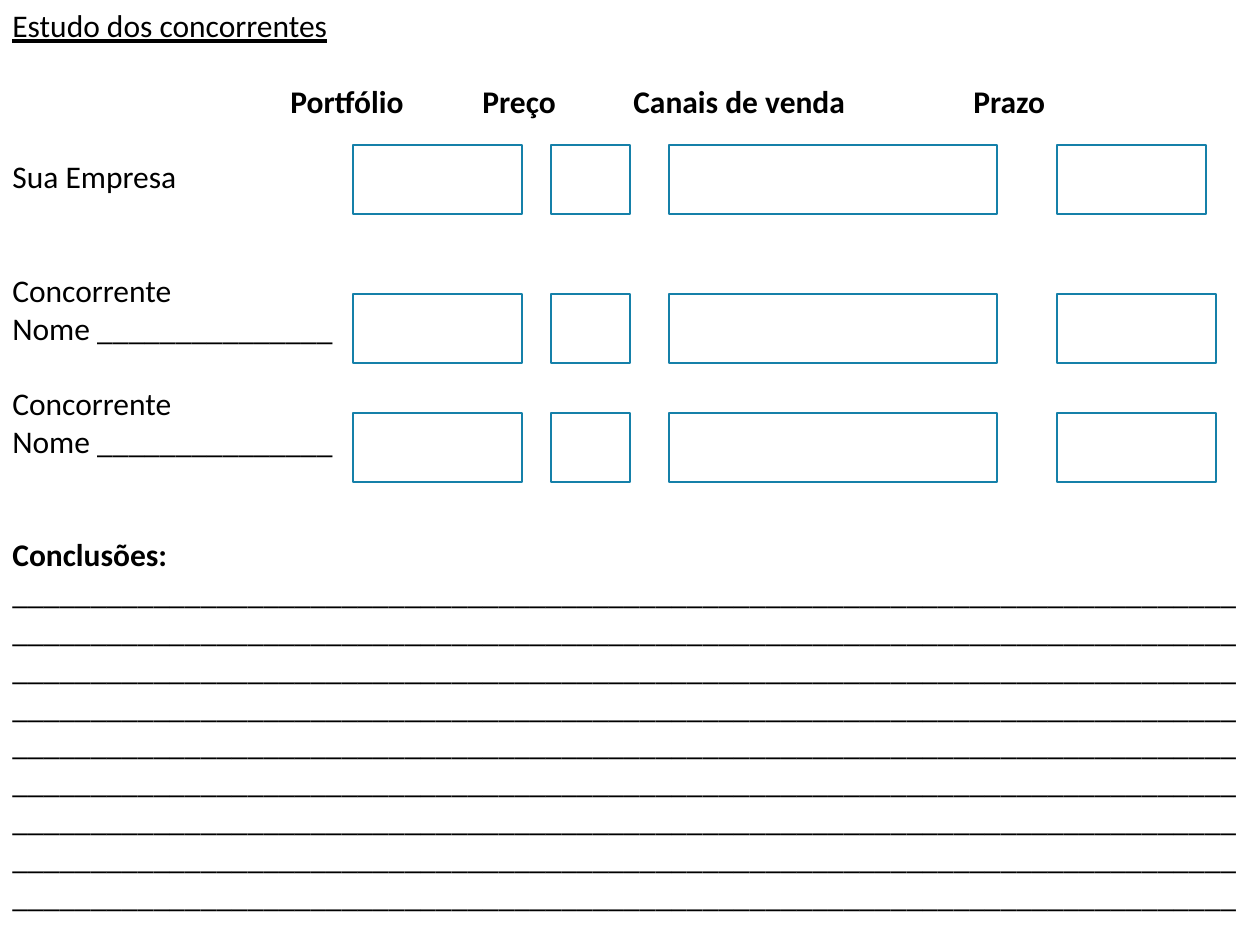
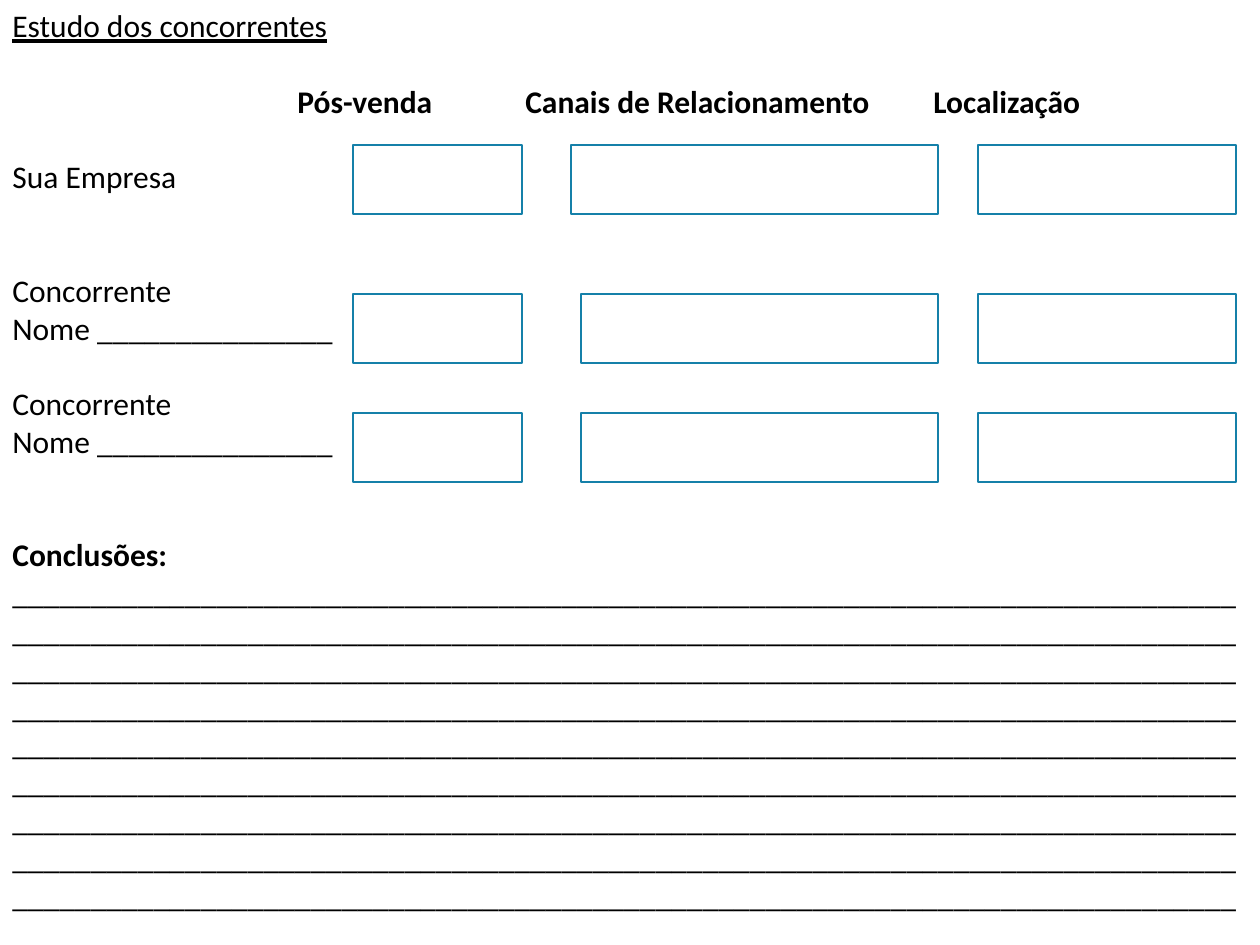
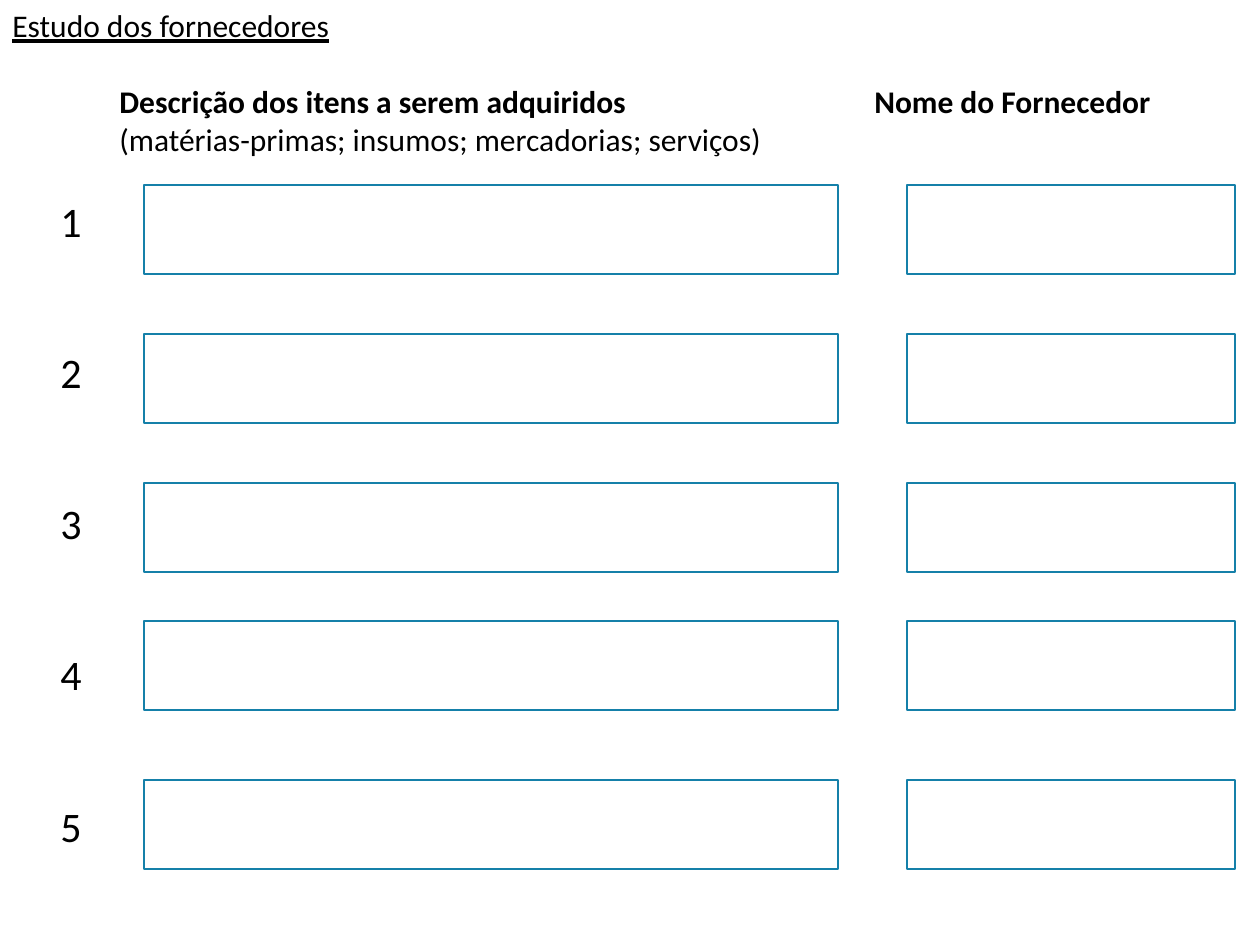
from dataclasses import dataclass

from lxml import etree
from pptx import Presentation
from pptx.dml.color import RGBColor
from pptx.enum.shapes import MSO_SHAPE
from pptx.oxml.ns import qn
from pptx.util import Emu, Pt

RECTANGLE = MSO_SHAPE.RECTANGLE

PX = 914400 // 126
SLIDE_WIDTH, SLIDE_HEIGHT = 1260, 945
TEXT_HEIGHT = 929
FONT = "Calibri"
COLORS = {"text": "000000", "box_line": "1580A9"}
BODY_SIZE, NUMBER_SIZE = 18, 24
LINE_HEIGHT = 1.2
WRITING_LINES, UNDERSCORES_PER_LINE = 9, 78


@dataclass
class Line:
    """A paragraph; gap counts the empty lines above it."""
    text: str
    gap: int = 0
    size: int = BODY_SIZE
    gap_size: int = BODY_SIZE
    bold: bool = False
    underline: bool = False
    tabs: tuple = ()


COMPETITOR_ROWS = (145, 294, 413)
COMPETITOR_BOX_HEIGHT = 69

# Headings are (text, left); each row of boxes holds (left, width) pairs.
COMPETITOR_SLIDES = [
    {
        "headings": [("Portfólio", 278), ("Preço", 470),
                     ("Canais de venda", 621), ("Prazo", 961)],
        "own_boxes": [(353, 169), (551, 79), (669, 328), (1057, 149)],
        "rival_boxes": [(353, 169), (551, 79), (669, 328), (1057, 159)],
    },
    {
        "headings": [("Pós-venda", 285), ("Canais de Relacionamento", 513),
                     ("Localização", 921)],
        "own_boxes": [(353, 169), (571, 367), (978, 258)],
        "rival_boxes": [(353, 169), (581, 357), (978, 258)],
    },
]

SUPPLIER_HEADINGS = [("Descrição dos itens a serem adquiridos", 107),
                     ("Nome do Fornecedor", 862)]
SUPPLIER_NOTE = "(matérias-primas; insumos; mercadorias; serviços)"
SUPPLIER_ROWS = (185, 334, 483, 621, 780)
SUPPLIER_BOXES = [(144, 694), (907, 328)]
SUPPLIER_BOX_HEIGHT = 89
NUMBER_LEFT = 48


def px(length):
    return Emu(length * PX)


def title(text):
    return Line(text, underline=True)


def heading_line(headings):
    return Line("".join("\t" + text for text, _ in headings), gap=1, bold=True,
                tabs=tuple(left for _, left in headings))


def add_tabs(paragraph, positions):
    tab_list = etree.SubElement(paragraph._p.get_or_add_pPr(), qn("a:tabLst"))
    for position in positions:
        etree.SubElement(tab_list, qn("a:tab"), pos=str(px(position)), algn="l")


def add_text(slide, lines):
    frame = slide.shapes.add_textbox(0, 0, px(SLIDE_WIDTH), px(TEXT_HEIGHT)).text_frame
    frame.word_wrap = True
    for index, line in enumerate(lines):
        paragraph = frame.add_paragraph() if index else frame.paragraphs[0]
        if line.tabs:
            add_tabs(paragraph, line.tabs)
        if line.gap:
            paragraph.space_before = Pt(line.gap * line.gap_size * LINE_HEIGHT)
        run = paragraph.add_run()
        run.text = line.text
        run.font.name = FONT
        run.font.size = Pt(line.size)
        run.font.bold = line.bold
        run.font.underline = line.underline
        run.font.color.rgb = RGBColor.from_string(COLORS["text"])


def add_box_row(slide, top, height, boxes):
    for left, width in boxes:
        box = slide.shapes.add_shape(RECTANGLE, px(left), px(top), px(width), px(height))
        box.shadow.inherit = False
        box.fill.background()
        box.line.color.rgb = RGBColor.from_string(COLORS["box_line"])
        box.line.width = Pt(1.25)


def build_competitors(slide, content):
    name_blank = "Nome " + "_" * 15
    add_text(slide, [
        title("Estudo dos concorrentes"),
        heading_line(content["headings"]),
        Line("Sua Empresa", gap=1),
        Line("Concorrente", gap=2),
        Line(name_blank),
        Line("Concorrente", gap=1),
        Line(name_blank),
        Line("Conclusões:", gap=2, bold=True),
        Line("_" * UNDERSCORES_PER_LINE * WRITING_LINES),
    ])
    for index, top in enumerate(COMPETITOR_ROWS):
        boxes = content["rival_boxes"] if index else content["own_boxes"]
        add_box_row(slide, top, COMPETITOR_BOX_HEIGHT, boxes)


def build_suppliers(slide):
    lines = [
        title("Estudo dos fornecedores"),
        heading_line(SUPPLIER_HEADINGS),
        Line("\t" + SUPPLIER_NOTE, tabs=(SUPPLIER_HEADINGS[0][1],)),
    ]
    for number, top in enumerate(SUPPLIER_ROWS, start=1):
        first = number == 1
        lines.append(Line(f"\t{number}", gap=1 if first else 2, size=NUMBER_SIZE,
                          gap_size=BODY_SIZE if first else NUMBER_SIZE,
                          tabs=(NUMBER_LEFT,)))
    add_text(slide, lines)
    for top in SUPPLIER_ROWS:
        add_box_row(slide, top, SUPPLIER_BOX_HEIGHT, SUPPLIER_BOXES)


def main():
    deck = Presentation()
    deck.slide_width, deck.slide_height = px(SLIDE_WIDTH), px(SLIDE_HEIGHT)
    blank = deck.slide_layouts[6]
    for content in COMPETITOR_SLIDES:
        build_competitors(deck.slides.add_slide(blank), content)
    build_suppliers(deck.slides.add_slide(blank))
    deck.save("out.pptx")


if __name__ == "__main__":
    main()
